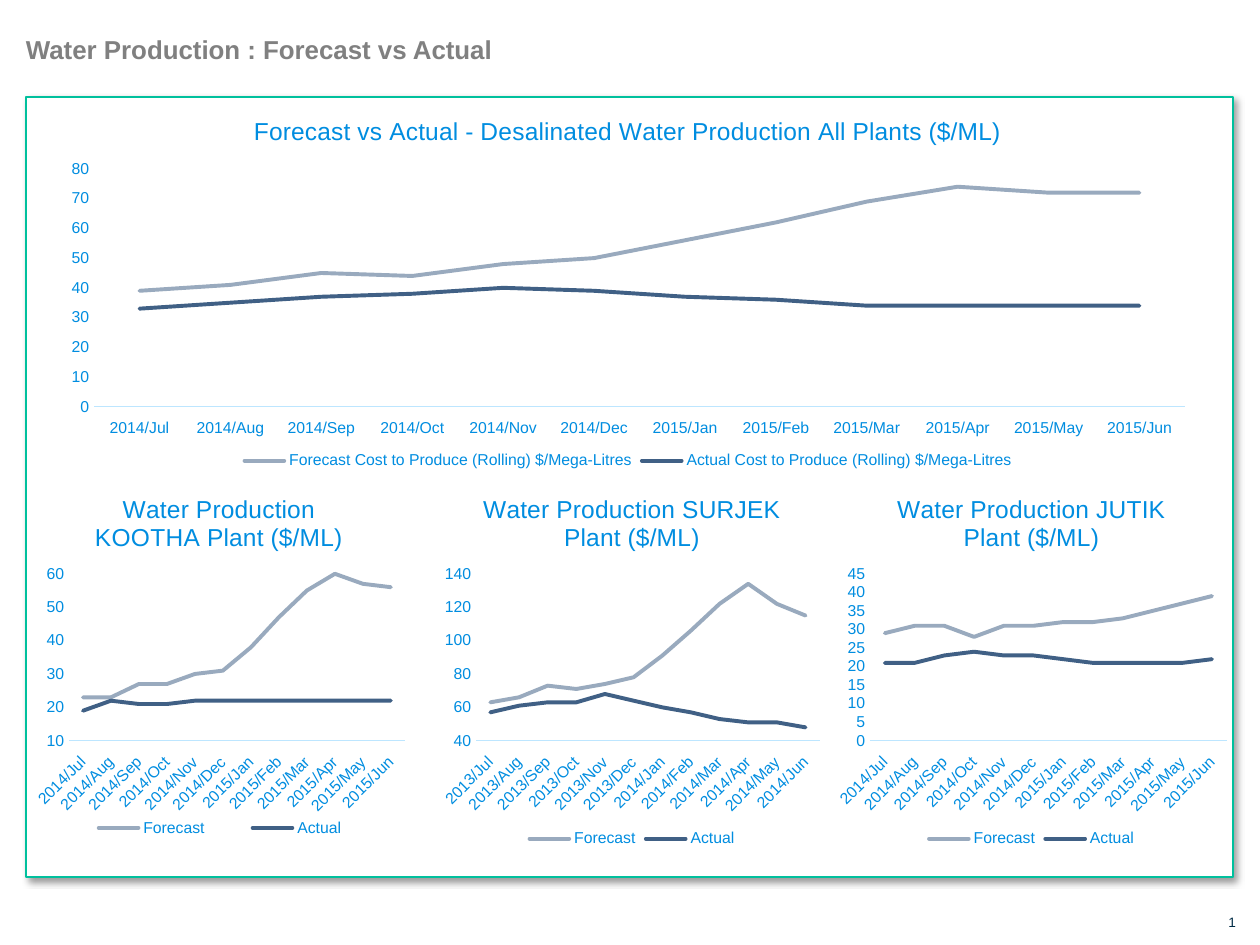
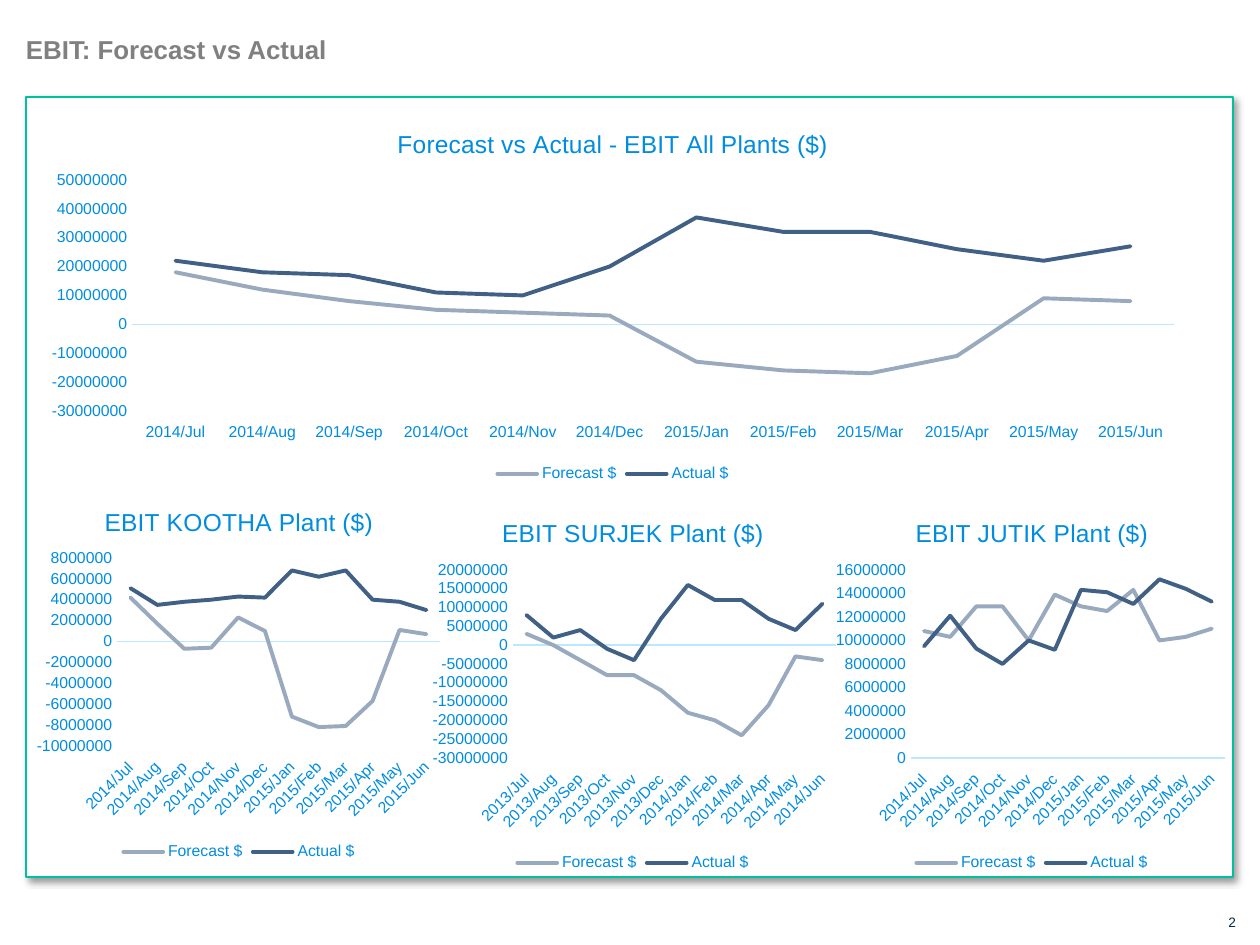
from dataclasses import dataclass

from lxml.etree import SubElement
from pptx import Presentation
from pptx.chart.data import CategoryChartData as ChartData
from pptx.dml.color import RGBColor as RGB
from pptx.enum.chart import XL_CHART_TYPE as ChartType
from pptx.enum.chart import XL_LEGEND_POSITION as LegendPos
from pptx.enum.chart import XL_TICK_LABEL_POSITION as LabelPos
from pptx.enum.chart import XL_TICK_MARK as Tick
from pptx.enum.shapes import MSO_SHAPE as Shape
from pptx.enum.text import MSO_ANCHOR as Anchor
from pptx.enum.text import PP_ALIGN as Align
from pptx.oxml import parse_xml
from pptx.oxml.ns import nsdecls, qn
from pptx.util import Emu, Pt

PX = 914400 // 126
TITLE_ONLY = 5
MILLION = 1_000_000
MONTHS = "Jul Aug Sep Oct Nov Dec Jan Feb Mar Apr May Jun".split()


@dataclass(frozen=True)
class Theme:
    """Colours, font and type sizes shared by the slides."""
    font: str = "Arial"
    heading: str = "808080"
    ink: str = "002C46"
    label: str = "008DE0"
    axis: str = "BDE6FF"
    frame: str = "00C09D"
    paper: str = "FFFFFF"
    forecast: str = "99AABE"
    actual: str = "406085"
    heading_pt: float = 14.8
    number_pt: float = 7.8
    chart_title_pt: float = 14
    chart_pt: float = 9


T = Theme()


@dataclass
class Panel:
    """One forecast/actual chart; boxes are (left, top, width, height)."""
    title: str
    box: tuple
    plot: tuple
    scale: tuple
    forecast: list
    actual: list
    year: int = 2014
    slanted: bool = True
    legend: tuple = ()


def style(font, size, color, bold=False):
    """Set typeface, size, colour and weight of a font."""
    font.name, font.size, font.bold = T.font, Pt(size), bold
    font.color.rgb = RGB.from_string(color)


def emu(box):
    """Turn a pixel box into EMU lengths."""
    return [Emu(v * PX) for v in box]


def bare_frame(s, anchor):
    """Return the text frame of s without insets."""
    tf = s.text_frame
    tf.margin_left = tf.margin_right = tf.margin_top = tf.margin_bottom = 0
    tf.word_wrap, tf.vertical_anchor = True, anchor
    return tf


def add_heading(slide, text):
    """Fill and place the title placeholder."""
    s = slide.shapes.title
    s.left, s.top, s.width, s.height = emu((26, 34, 1207, 32))
    tf = bare_frame(s, Anchor.TOP)
    tf.text = text
    p = tf.paragraphs[0]
    p.alignment = Align.LEFT
    style(p.runs[0].font, T.heading_pt, T.heading, True)


def add_number(slide, number):
    """Add the slide number as a live field."""
    s = slide.shapes.add_textbox(*emu((1212, 914, 24, 17)))
    p = bare_frame(s, Anchor.MIDDLE).paragraphs[0]
    p.text, p.alignment = str(number), Align.RIGHT
    r = p.runs[0]
    style(r.font, T.number_pt, T.ink)
    r._r.tag = qn("a:fld")
    r._r.set("id", "{B6F15528-21DE-4FAA-801E-634DDDAF4B2B}")
    r._r.set("type", "slidenum")


def add_frame(slide):
    """Add the outlined white panel with its soft shadow."""
    s = slide.shapes.add_shape(Shape.RECTANGLE, *emu((26, 97, 1207, 780)))
    s.fill.solid()
    s.fill.fore_color.rgb = RGB.from_string(T.paper)
    s.line.color.rgb = RGB.from_string(T.frame)
    s.line.width = Pt(1.5)
    s._element.spPr.append(parse_xml(
        f'<a:effectLst {nsdecls("a")}><a:outerShdw blurRad="{Pt(4)}" '
        f'dist="{Pt(3)}" dir="2700000" algn="tl" rotWithShape="0">'
        '<a:srgbClr val="000000"><a:alpha val="40000"/></a:srgbClr>'
        '</a:outerShdw></a:effectLst>'))


def set_layout(element, box, outer, inner=False):
    """Pin a chart part at a pixel box inside the outer chart box."""
    for old in element.findall(qn("c:layout")):
        element.remove(old)
    layout = parse_xml(f'<c:layout {nsdecls("c")}/>')
    manual = SubElement(layout, qn("c:manualLayout"))
    values = [("layoutTarget", "inner")] if inner else []
    values += [("xMode", "edge"), ("yMode", "edge")]
    left, top, width, height = outer
    values += [("x", (box[0] - left) / width), ("y", (box[1] - top) / height),
               ("w", box[2] / width), ("h", box[3] / height)]
    for name, value in values:
        text = value if isinstance(value, str) else f"{value:.4f}"
        SubElement(manual, qn(f"c:{name}")).set("val", text)
    # The layout opens the plot area, and follows the position in a legend.
    element.insert(0 if inner else 1, layout)


def format_axes(chart, panel):
    """Format both axes and fix the value scale."""
    cat, val = chart.category_axis, chart.value_axis
    for axis in (cat, val):
        axis.has_major_gridlines = False
        axis.major_tick_mark = axis.minor_tick_mark = Tick.NONE
        style(axis.tick_labels.font, T.chart_pt, T.label)
    cat.tick_label_position = LabelPos.LOW
    cat.format.line.color.rgb = RGB.from_string(T.axis)
    cat.format.line.width = Pt(0.75)
    if panel.slanted:
        cat._element.find(qn("c:txPr")).find(qn("a:bodyPr")).set("rot", "-2700000")
    val.format.line.fill.background()
    val.minimum_scale, val.maximum_scale, val.major_unit = panel.scale
    val.tick_labels.number_format = "0"
    val.tick_labels.number_format_is_linked = False


def add_line_chart(slide, panel, names):
    """Add the forecast and actual lines of one panel."""
    data = ChartData()
    data.categories = [f"{panel.year + i // 6}/{m}" for i, m in enumerate(MONTHS)]
    for name, values in zip(names, (panel.forecast, panel.actual)):
        data.add_series(name, values)
    chart = slide.shapes.add_chart(ChartType.LINE, *emu(panel.box), data).chart
    style(chart.font, 10, T.ink)
    chart.has_title = True
    tf = chart.chart_title.text_frame
    tf.text = panel.title
    style(tf.paragraphs[0].runs[0].font, T.chart_title_pt, T.label)
    chart.chart_title.include_in_layout = False

    format_axes(chart, panel)
    chart.plots[0].vary_by_categories = False
    for series, color in zip(chart.plots[0].series, (T.forecast, T.actual)):
        series.smooth = False
        series.format.line.color.rgb = RGB.from_string(color)
        series.format.line.width = Pt(2.25)
        series.format.line._ln.set("cap", "rnd")

    chart.has_legend = True
    chart.legend.position = LegendPos.BOTTOM
    chart.legend.include_in_layout = False
    style(chart.legend.font, T.chart_pt, T.label)
    plot_area = chart._chartSpace.chart.plotArea
    set_layout(plot_area, panel.plot, panel.box, inner=True)
    if panel.legend:
        set_layout(chart.legend._element, panel.legend, panel.box)


def millions(*values):
    """Scale values given in millions to whole dollars."""
    return [round(v * MILLION) for v in values]


def production_panels():
    """Return the panels of the water production slide."""
    return [
        Panel("Forecast vs Actual - Desalinated Water Production All Plants ($/ML)",
              (48, 97, 1160, 378), (94, 169, 1091, 238), (0, 80, 10),
              [39, 41, 45, 44, 48, 50, 56, 62, 69, 74, 72, 72],
              [33, 35, 37, 38, 40, 39, 37, 36, 34, 34, 34, 34], slanted=False),
        Panel("Water Production KOOTHA Plant ($/ML)",
              (26, 475, 386, 378), (69, 574, 336, 167), (10, 60, 10),
              [23, 23, 27, 27, 30, 31, 38, 47, 55, 60, 57, 56],
              [19, 22, 21, 21, 22, 22, 22, 22, 22, 22, 22, 22],
              legend=(56, 816, 328, 24)),
        Panel("Water Production SURJEK Plant ($/ML)",
              (435, 475, 394, 378), (476, 574, 344, 167), (40, 140, 20),
              [63, 66, 73, 71, 74, 78, 91, 106, 122, 134, 122, 115],
              [57, 61, 63, 63, 68, 64, 60, 57, 53, 51, 51, 48], year=2013),
        Panel("Water Production JUTIK Plant ($/ML)",
              (828, 475, 407, 378), (870, 574, 357, 167), (0, 45, 5),
              [29, 31, 31, 28, 31, 31, 32, 32, 33, 35, 37, 39],
              [21, 21, 23, 24, 23, 23, 22, 21, 21, 21, 21, 22]),
    ]


def ebit_panels():
    """Return the panels of the EBIT slide."""
    return [
        Panel("Forecast vs Actual - EBIT All Plants ($)",
              (29, 110, 1168, 378), (132, 180, 1042, 231), millions(-30, 50, 10),
              millions(18, 12, 8, 5, 4, 3, -13, -16, -17, -11, 9, 8),
              millions(22, 18, 17, 11, 10, 20, 37, 32, 32, 26, 22, 27),
              slanted=False),
        Panel("EBIT KOOTHA Plant ($)",
              (29, 488, 420, 378), (117, 558, 323, 188), millions(-10, 8, 2),
              millions(4.2, 1.7, -.7, -.6, 2.3, 1, -7.2, -8.2, -8.1, -5.7, 1.1, .7),
              millions(5.1, 3.5, 3.8, 4, 4.3, 4.2, 6.8, 6.2, 6.8, 4, 3.8, 3)),
        Panel("EBIT SURJEK Plant ($)",
              (423, 499, 420, 378), (513, 570, 323, 188), millions(-30, 20, 5),
              millions(3, 0, -4, -8, -8, -12, -18, -20, -24, -16, -3, -4),
              millions(8, 2, 4, -1, -4, 7, 16, 12, 12, 7, 4, 11), year=2013),
        Panel("EBIT JUTIK Plant ($)",
              (829, 499, 406, 378), (911, 570, 314, 188), millions(0, 16, 2),
              millions(10.8, 10.3, 12.9, 12.9, 10, 13.9, 12.9, 12.5, 14.3, 10, 10.3, 11),
              millions(9.5, 12.1, 9.3, 8, 10, 9.2, 14.3, 14.1, 13.1, 15.2, 14.4, 13.3)),
    ]


def add_dashboard(prs, heading, panels, total_names, plant_names):
    """Add a slide with one overall chart and a row of plant charts."""
    slide = prs.slides.add_slide(prs.slide_layouts[TITLE_ONLY])
    add_number(slide, len(prs.slides))
    add_frame(slide)
    add_heading(slide, heading)
    for i, panel in enumerate(panels):
        add_line_chart(slide, panel, plant_names if i else total_names)


def main():
    """Build and save the two slides."""
    prs = Presentation()
    prs.slide_width, prs.slide_height = emu((1260, 945))
    rolling = [f"{kind} Cost to Produce (Rolling) $/Mega-Litres"
               for kind in ("Forecast", "Actual")]
    dollars = ["Forecast $", "Actual $"]
    add_dashboard(prs, "Water Production : Forecast vs Actual",
                  production_panels(), rolling, ["Forecast", "Actual"])
    add_dashboard(prs, "EBIT: Forecast vs Actual", ebit_panels(), dollars, dollars)
    prs.save("out.pptx")


main()
